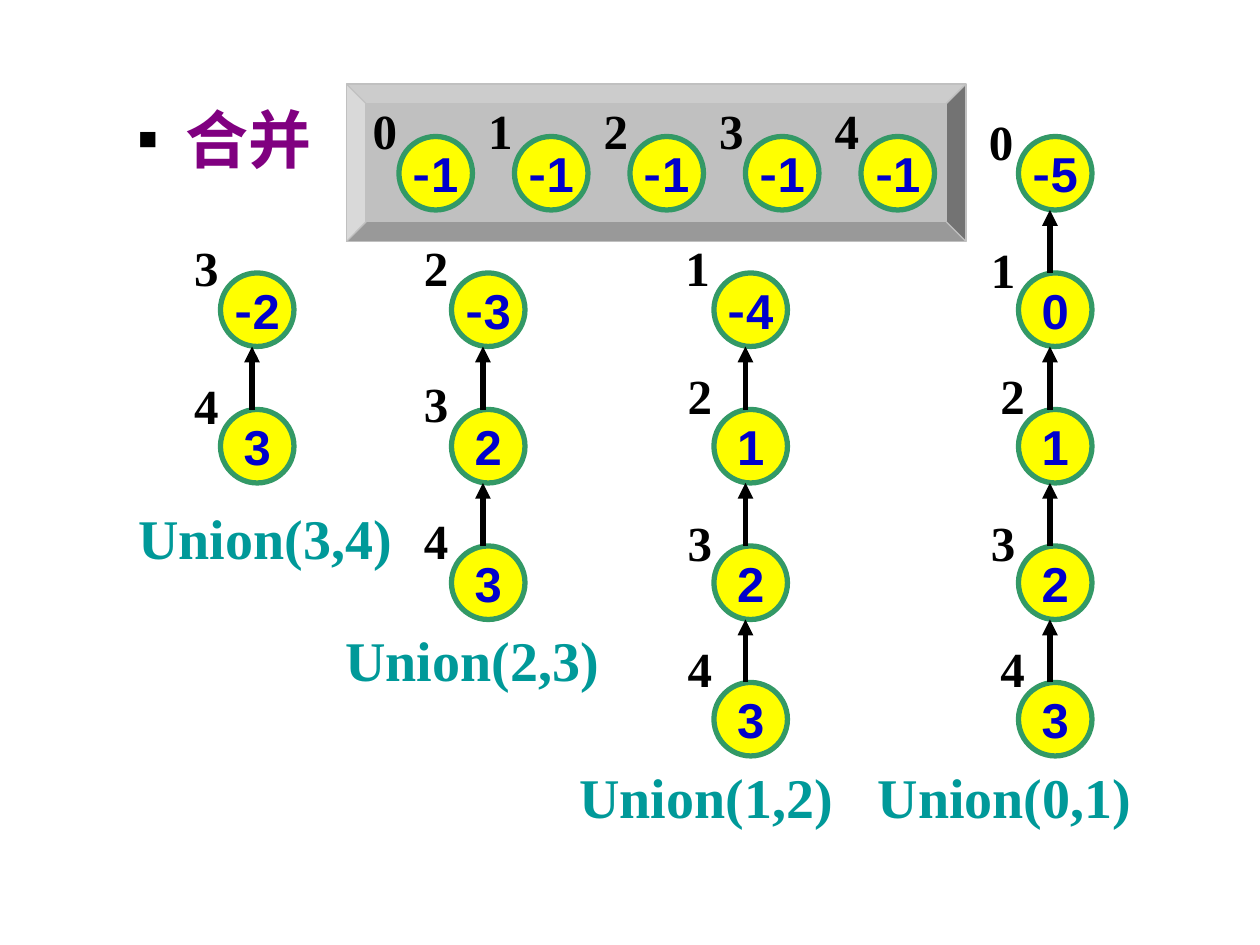
"""Build the slide on merging sets, with one tree for each Union step."""
from lxml.etree import SubElement
from pptx import Presentation
from pptx.dml.color import RGBColor
from pptx.enum.shapes import MSO_CONNECTOR, MSO_SHAPE
from pptx.enum.text import MSO_ANCHOR, MSO_AUTO_SIZE, PP_ALIGN
from pptx.oxml.ns import qn
from pptx.util import Emu, Pt

HEADING = "合并"
START_ROW = [("0", "-1"), ("1", "-1"), ("2", "-1"), ("3", "-1"), ("4", "-1")]
TREES = [
    {"caption": "Union(3,4)", "caption_at": (120, 474), "left": 210, "row": 1,
     "nodes": [("3", "-2", 173, 220), ("4", "3", 173, 352)]},
    {"caption": "Union(2,3)", "caption_at": (317, 590), "left": 430, "row": 1,
     "nodes": [("2", "-3", 392, 220), ("3", "2", 392, 350), ("4", "3", 392, 480)]},
    {"caption": "Union(1,2)", "caption_at": (540, 720), "left": 680, "row": 1,
     "nodes": [("1", "-4", 641, 220), ("2", "1", 643, 342),
               ("3", "2", 643, 482), ("4", "3", 643, 602)]},
    {"caption": "Union(0,1)", "caption_at": (824, 720), "left": 970, "row": 0,
     "nodes": [("0", "-5", 930, 100), ("1", "0", 932, 222), ("2", "1", 941, 342),
               ("3", "2", 932, 482), ("4", "3", 941, 602)]},
]
COLORS = {"panel": "C0C0C0", "heading": "800080", "node": "FFFF00", "ring": "339966",
          "value": "0000CC", "label": "000000", "caption": "009999"}
SANS, SERIF, CJK = "Arial", "Times New Roman", "Noto Sans CJK SC"
PX = 7620
NODE, ROW_TOP, ROW_STEP = 70, 130, 130
START_LEFT, START_STEP = 380, 110
ARROW_INSET = 30
LABEL_SIZE, CAPTION_SIZE = (47, 68), (268, 77)


def px(*lengths):
    return [Emu(length * PX) for length in lengths]


def color(name):
    return RGBColor.from_string(COLORS[name])


def style(font, name, size, color_name):
    font.name, font.size, font.bold = name, Pt(size), True
    font.color.rgb = color(color_name)


def add_figure(slide, kind, bounds, fill, line, width):
    shape = slide.shapes.add_shape(kind, *px(*bounds))
    shape.shadow.inherit = False
    shape.fill.solid()
    shape.fill.fore_color.rgb = color(fill)
    shape.line.color.rgb = color(line)
    shape.line.width = Pt(width)
    return shape


def add_node(slide, left, top, value):
    node = add_figure(slide, MSO_SHAPE.OVAL, (left, top, NODE, NODE), "node", "ring", 3)
    frame = node.text_frame
    frame.word_wrap = False
    frame.vertical_anchor = MSO_ANCHOR.MIDDLE
    para = frame.paragraphs[0]
    para.alignment = PP_ALIGN.CENTER
    for character in value:
        span = para.add_run()
        span.text = character
        style(span.font, CJK if character == "-" else SANS, 28, "value")


def add_text(slide, bounds, text, size, color_name):
    box = slide.shapes.add_textbox(*px(*bounds))
    box.text_frame.word_wrap = False
    box.text_frame.auto_size = MSO_AUTO_SIZE.SHAPE_TO_FIT_TEXT
    box.text_frame.margin_right = 0
    para = box.text_frame.paragraphs[0]
    para.text = text
    style(para.font, SERIF, size, color_name)


def add_label(slide, left, top, text):
    add_text(slide, (left, top, *LABEL_SIZE), text, 28, "label")


def add_arrow(slide, x, start, end):
    arrow = slide.shapes.add_connector(MSO_CONNECTOR.STRAIGHT, *px(x, start, x, end))
    arrow.line.color.rgb = color("label")
    arrow.line.width = Pt(3)
    SubElement(arrow.line._get_or_add_ln(), qn("a:tailEnd"), type="triangle")
    SubElement(arrow._element.spPr, qn("a:effectLst"))


def add_heading(slide):
    box = slide.shapes.add_textbox(*px(120, 90, 970, 540))
    box.text_frame.word_wrap = True
    para = box.text_frame.paragraphs[0]
    span = para.add_run()
    span.text = HEADING
    style(span.font, SANS, 36, "heading")
    SubElement(span.font._element, qn("a:ea"), typeface=CJK)
    properties = para._p.get_or_add_pPr()
    properties.set("marL", str(45 * PX))
    properties.set("indent", str(-45 * PX))
    bullet_color = SubElement(properties, qn("a:buClr"))
    SubElement(bullet_color, qn("a:srgbClr"), val=COLORS["label"])
    SubElement(properties, qn("a:buSzPct"), val="50000")
    SubElement(properties, qn("a:buFont"), typeface=SANS)
    SubElement(properties, qn("a:buChar"), char="■")


def add_tree(slide, tree):
    tops = [ROW_TOP + ROW_STEP * (tree["row"] + depth) for depth in range(len(tree["nodes"]))]
    for top, (index, value, label_left, label_top) in zip(tops, tree["nodes"]):
        add_node(slide, tree["left"], top, value)
        add_label(slide, label_left, label_top, index)
    for parent_top, child_top in zip(tops, tops[1:]):
        add_arrow(slide, tree["left"] + ARROW_INSET, child_top, parent_top + NODE)
    add_text(slide, (*tree["caption_at"], *CAPTION_SIZE), tree["caption"], 32, "caption")


def main():
    deck = Presentation()
    deck.slide_width, deck.slide_height = px(1200, 900)
    slide = deck.slides.add_slide(deck.slide_layouts[6])
    add_figure(slide, MSO_SHAPE.BEVEL, (330, 80, 590, 150), "panel", "panel", 0.75)
    add_heading(slide)
    for position, (index, value) in enumerate(START_ROW):
        left = START_LEFT + START_STEP * position
        add_node(slide, left, ROW_TOP, value)
        add_label(slide, left - 37, 90, index)
    for tree in TREES:
        add_tree(slide, tree)
    deck.save("out.pptx")


if __name__ == "__main__":
    main()
